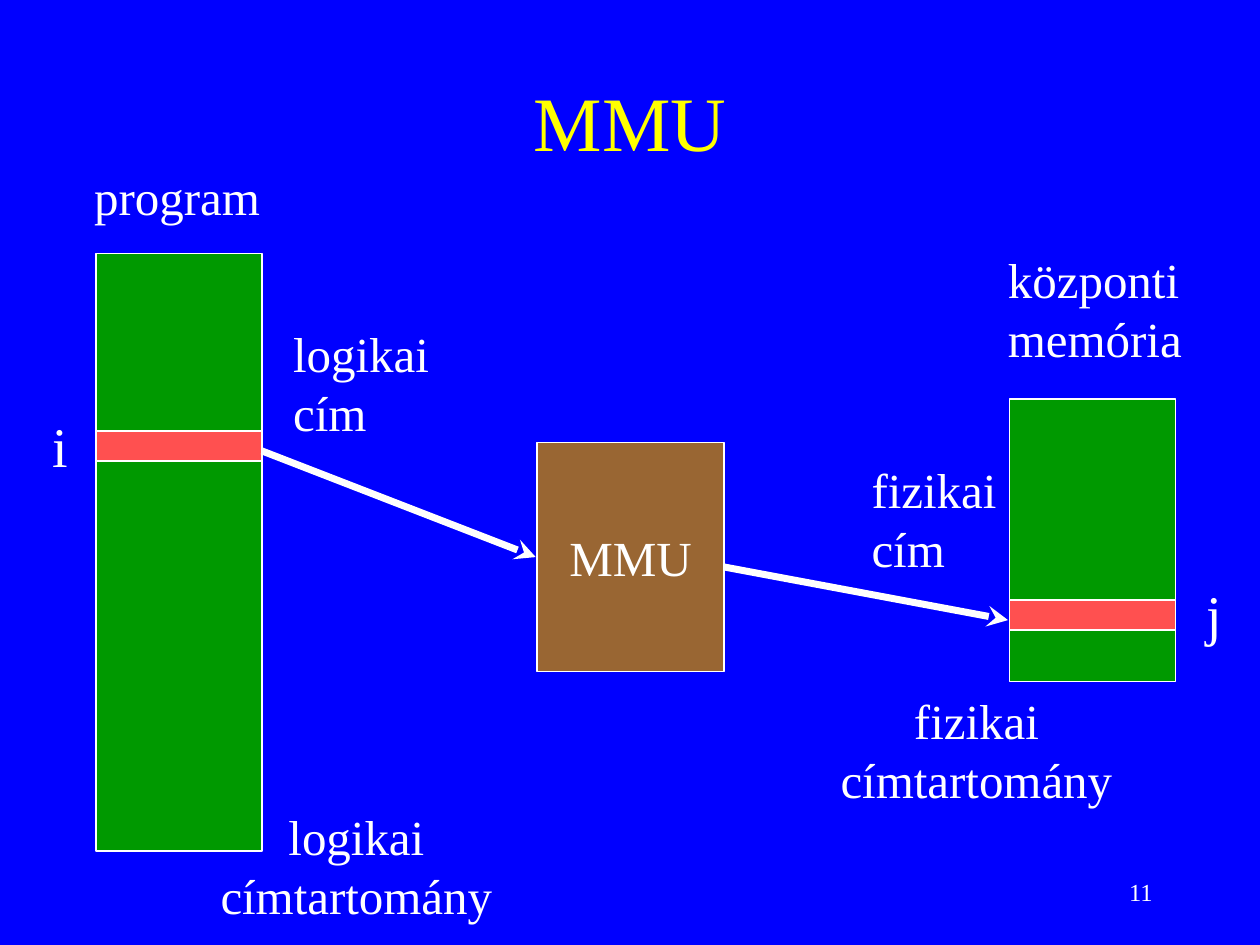
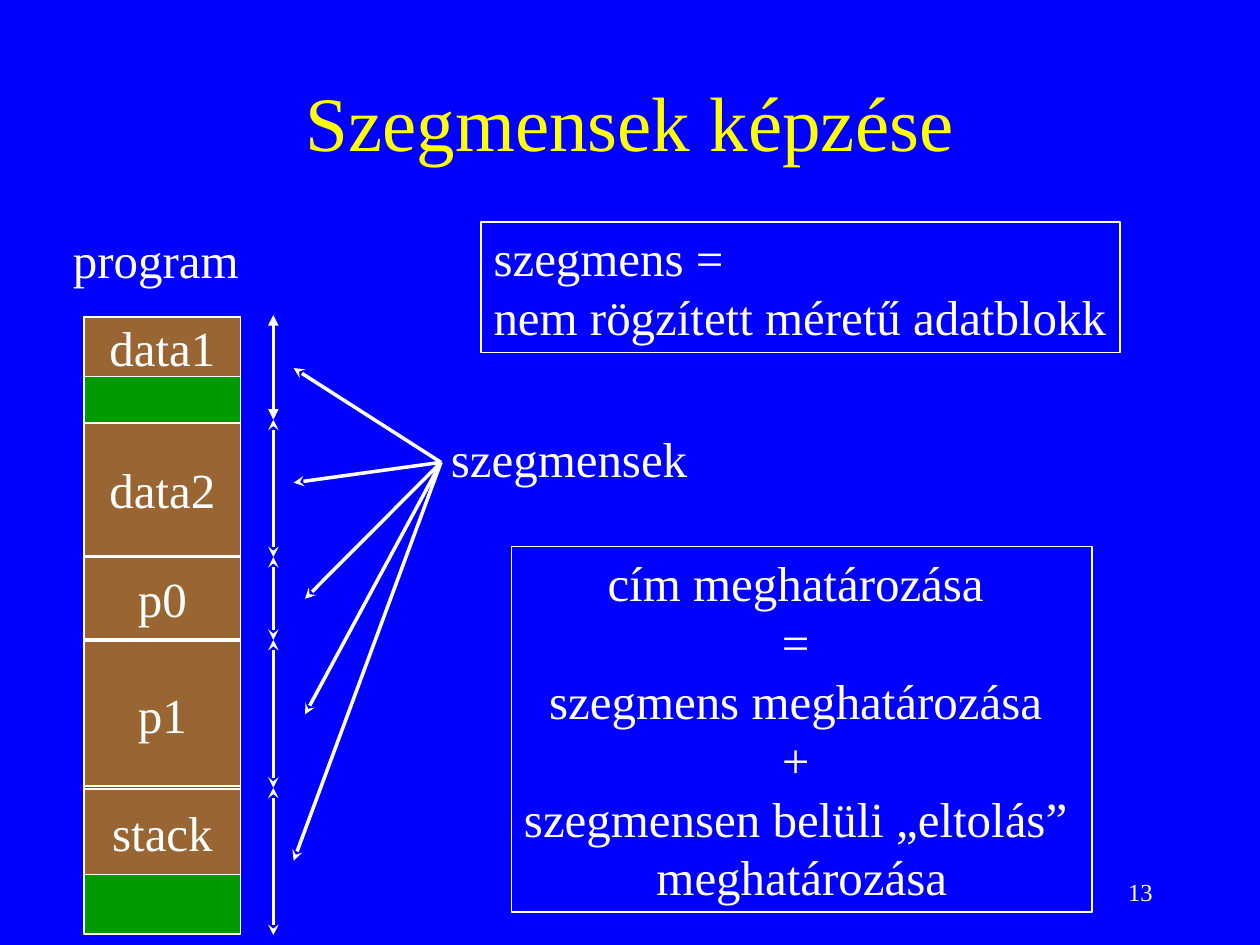
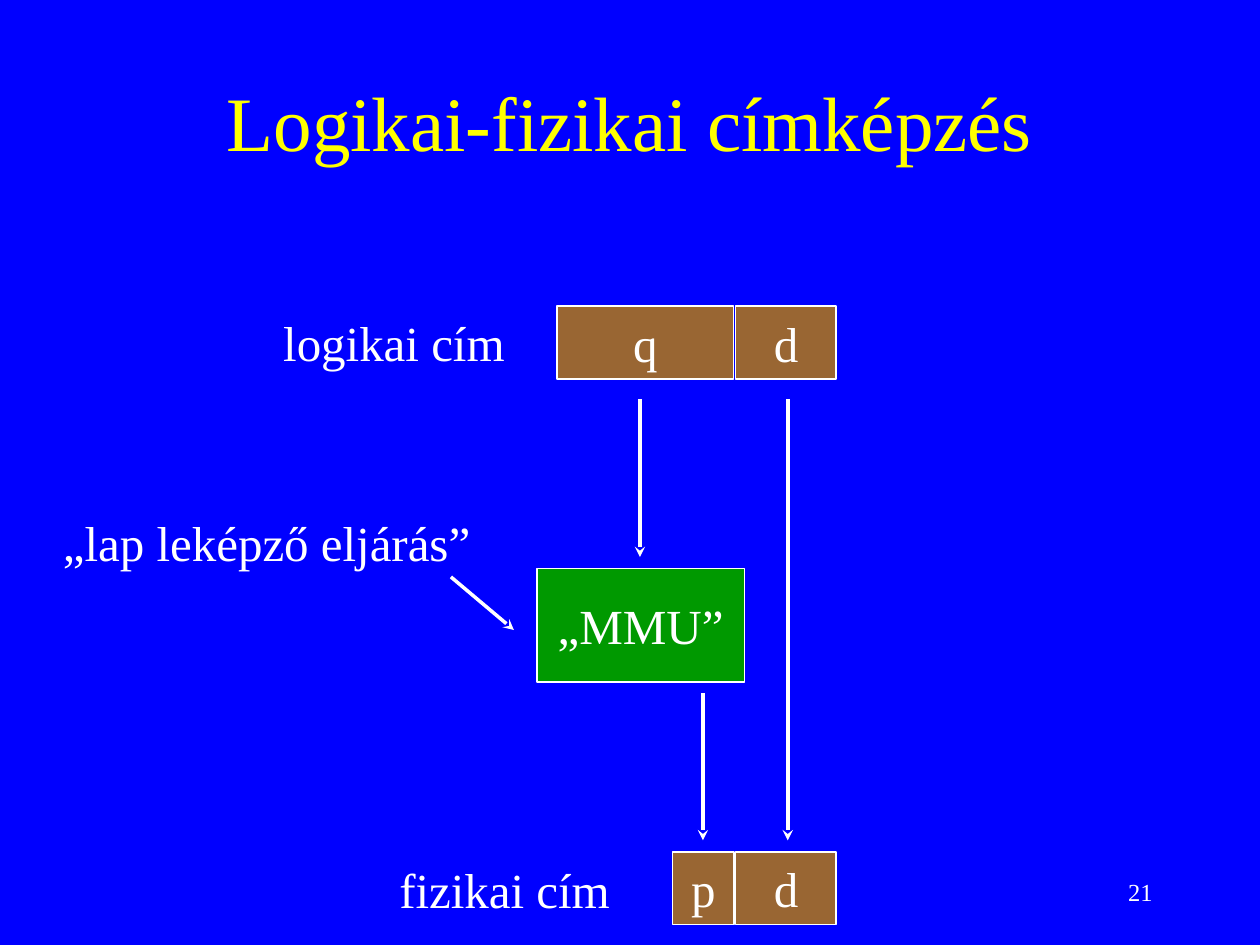
"""Builds three slides on the MMU, segments and address translation."""
import itertools

import lxml.etree
import pptx
import pptx.dml.color
import pptx.enum.shapes
import pptx.enum.text
import pptx.oxml.ns
import pptx.util

Cm = pptx.util.Cm
ALIGN = pptx.enum.text.PP_ALIGN
ANCHOR = pptx.enum.text.MSO_ANCHOR
COLORS = {
    "back": "0000FF",
    "title": "FFFF00",
    "text": "FFFFFF",
    "memory": "009900",
    "block": "996633",
    "cell": "FF5050",
}


def rgb(name):
    return pptx.dml.color.RGBColor.from_string(COLORS[name])


def set_all(obj, values):
    for key, value in values.items():
        setattr(obj, key, value)


class Deck:
    FONT = "Times New Roman"

    def __init__(self):
        self.prs = pptx.Presentation()
        set_all(self.prs, {"slide_width": Cm(25.4), "slide_height": Cm(19.05)})
        fill = self.prs.slide_master.background.fill
        fill.solid()
        fill.fore_color.rgb = rgb("back")
        self.s = None

    def slide(self, title, number):
        self.s = self.prs.slides.add_slide(self.prs.slide_layouts[6])
        self.label(title, 1.9, 0.84, 21.6, 3.18, size=44, color="title",
                   align=ALIGN.CENTER, anchor=ANCHOR.MIDDLE)
        self.label(str(number), 18.21, 17.35, 5.28, 1.27, size=14,
                   align=ALIGN.RIGHT, anchor=ANCHOR.MIDDLE)

    def put_text(self, sp, text, size=28, color="text", align=ALIGN.LEFT, anchor=ANCHOR.TOP):
        tf = sp.text_frame
        set_all(tf, {"word_wrap": False, "vertical_anchor": anchor})
        for i, line in enumerate(text.split("\n")):
            p = tf.add_paragraph() if i else tf.paragraphs[0]
            p.alignment = align
            r = p.add_run()
            r.text = line
            set_all(r.font, {"name": self.FONT, "size": pptx.util.Pt(size)})
            r.font.color.rgb = rgb(color)

    def label(self, text, x, y, w, h=1.45, **style):
        sp = self.s.shapes.add_textbox(Cm(x), Cm(y), Cm(w), Cm(h))
        self.put_text(sp, text, **style)

    def rect(self, x, y, w, h, fill=None, text="", align=ALIGN.CENTER, anchor=ANCHOR.MIDDLE):
        kind = pptx.enum.shapes.MSO_SHAPE.RECTANGLE
        sp = self.s.shapes.add_shape(kind, Cm(x), Cm(y), Cm(w), Cm(h))
        sp.shadow.inherit = False
        if fill:
            sp.fill.solid()
            sp.fill.fore_color.rgb = rgb(fill)
        else:
            sp.fill.background()
        sp.line.color.rgb = rgb("text")
        sp.line.width = pptx.util.Pt(1)
        if text:
            self.put_text(sp, text, align=align, anchor=anchor)

    def arrow(self, start, end, width=2, head=None, tail="stealth"):
        kind = pptx.enum.shapes.MSO_CONNECTOR.STRAIGHT
        sp = self.s.shapes.add_connector(kind, *map(Cm, start + end))
        sp.line.color.rgb = rgb("text")
        sp.line.width = pptx.util.Pt(width)
        qn = pptx.oxml.ns.qn
        spPr = sp._element.spPr
        for tag, shape in (("a:headEnd", head), ("a:tailEnd", tail)):
            if shape:
                lxml.etree.SubElement(spPr.find(qn("a:ln")), qn(tag), type=shape)
        lxml.etree.SubElement(spPr, qn("a:effectLst"))


def mmu_slide(d):
    d.slide("MMU", 11)
    for x, y, h, cell_y in ((1.93, 5.11, 12.04, 8.69), (20.35, 8.05, 5.69, 12.09)):
        d.rect(x, y, 3.35, h, "memory")
        d.rect(x, cell_y, 3.35, 0.61, "cell")
    d.rect(10.82, 8.92, 3.78, 4.62, "block", "MMU")
    d.label("program", 1.65, 3.23, 3.86)
    for text, x, y, w in (
        ("logikai\ncím", 5.66, 6.4, 3.25),
        ("fizikai\ncím", 17.32, 9.14, 3.02),
        ("központi\nmemória", 20.07, 4.9, 4.01),
    ):
        d.label(text, x, y, w, 2.64)
    for text, x, y in (("logikai", 4.19, 16.13), ("fizikai", 16.69, 13.79)):
        d.label(text + "\ncímtartomány", x, y, 5.99, 2.64, align=ALIGN.CENTER)
    for text, x, y in (("i", 0.81, 8.18), ("j", 24.08, 11.56)):
        d.label(text, x, y, 0.84, 1.6, size=32)
    d.arrow((5.28, 9.09), (10.8, 11.23), 4)
    d.arrow((14.6, 11.43), (20.32, 12.5), 4)


def segments_slide(d):
    d.slide("Szegmensek képzése", 13)
    d.rect(9.7, 4.47, 12.88, 2.64, text="szegmens =\nnem rögzített méretű adatblokk",
           align=ALIGN.LEFT, anchor=ANCHOR.TOP)
    d.label("program", 1.22, 4.5, 3.86)
    d.rect(1.7, 6.38, 3.15, 12.45, "memory")
    for text, y, h in (
        ("data1", 6.4, 1.19),
        ("data2", 8.53, 2.67),
        ("p0", 11.23, 1.65),
        ("p1", 12.93, 2.92),
        ("stack", 15.9, 1.73),
    ):
        d.rect(1.7, y, 3.15, h, "block", text)
    bounds = (6.35, 8.46, 11.23, 12.9, 15.88, 18.85)
    for i, (top, bottom) in enumerate(itertools.pairwise(bounds)):
        tip = "stealth" if i else "triangle"
        d.arrow((5.51, top), (5.51, bottom), head=tip, tail=tip)
    d.label("szegmensek", 8.84, 8.51, 5.28)
    for end in ((5.92, 7.42), (5.92, 9.73), (6.15, 12.07), (6.15, 14.4), (5.92, 17.35)):
        d.arrow((8.89, 9.32), end)
    d.rect(10.31, 11.02, 11.71, 7.37, anchor=ANCHOR.TOP,
           text="cím meghatározása \n= \nszegmens meghatározása \n+ \n"
                "szegmensen belüli „eltolás” \nmeghatározása")


def translation_slide(d):
    d.slide("Logikai-fizikai címképzés", 21)
    for page, x, w, y in (("q", 11.23, 3.56, 6.17), ("p", 13.56, 1.24, 17.17)):
        d.rect(x, y, w, 1.47, "block", page)
        d.rect(14.83, y, 2.03, 1.47, "block", "d")
    d.label("logikai cím", 5.46, 6.17, 4.98)
    d.label("fizikai cím", 7.8, 17.2, 4.75)
    for x, top, bottom in ((12.9, 8.05, 11.23), (15.88, 8.05, 16.94), (14.17, 13.97, 16.94)):
        d.arrow((x, top), (x, bottom))
    d.arrow((9.09, 11.63), (10.36, 12.7))
    d.rect(10.82, 11.46, 4.19, 2.29, "memory", "„MMU”")
    d.label("„lap leképző eljárás”", 1.02, 10.21, 8.74)


def main():
    d = Deck()
    mmu_slide(d)
    segments_slide(d)
    translation_slide(d)
    d.prs.save("out.pptx")


if __name__ == "__main__":
    main()
